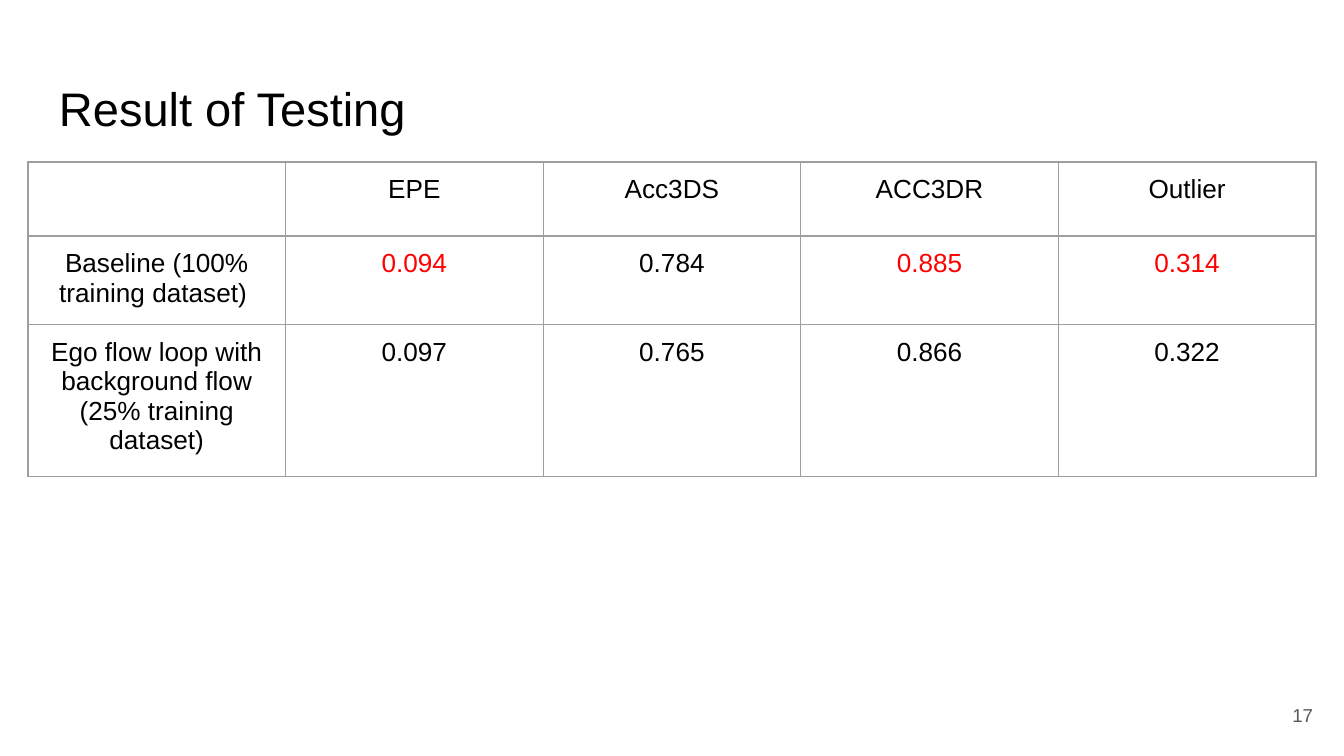
from lxml.etree import SubElement
from pptx import Presentation
from pptx.dml.color import RGBColor
from pptx.enum.text import MSO_ANCHOR, MSO_AUTO_SIZE, PP_ALIGN
from pptx.oxml.ns import qn
from pptx.util import Emu, Pt

PX_PER_INCH = 134.4
BLACK, RED, GREY, BORDER = "000000", "FF0000", "595959", "9E9E9E"


def px(length):
    return Emu(round(length * 914400 / PX_PER_INCH))


def color(value):
    return RGBColor.from_string(value)


class SlideBuilder:
    font = "Arial"
    inset = 13

    def __init__(self, page):
        self.page = page

    def set_text(self, frame, text, size, ink=BLACK, align=PP_ALIGN.LEFT):
        frame.word_wrap = True
        para = frame.paragraphs[0]
        para.text = text
        para.alignment = align
        para.font.name = self.font
        para.font.size = Pt(size)
        para.font.color.rgb = color(ink)

    def pad(self, target):
        target.margin_left = target.margin_right = px(self.inset)
        target.margin_top = target.margin_bottom = px(self.inset)

    def title(self, text, left, top, width, height):
        box = self.page.shapes.title
        box.left, box.top, box.width, box.height = map(px, (left, top, width, height))
        frame = box.text_frame
        self.pad(frame)
        frame.auto_size = MSO_AUTO_SIZE.NONE
        frame.vertical_anchor = MSO_ANCHOR.TOP
        self.set_text(frame, text, 25.2)

    def page_number(self, text, left, top, width, height):
        box = self.page.shapes.add_textbox(*map(px, (left, top, width, height)))
        frame = box.text_frame
        self.pad(frame)
        frame.vertical_anchor = MSO_ANCHOR.MIDDLE
        self.set_text(frame, text, 10, GREY, PP_ALIGN.RIGHT)

    def borders(self, cell):
        properties = cell._tc.get_or_add_tcPr()
        for side in ("lnL", "lnR", "lnT", "lnB"):
            line = SubElement(properties, qn(f"a:{side}"), w=str(Pt(0.75)))
            fill = SubElement(line, qn("a:solidFill"))
            SubElement(fill, qn("a:srgbClr"), val=BORDER)

    def table(self, rows, highlights, left, top, width, heights):
        frame = self.page.shapes.add_table(
            len(rows), len(rows[0]), *map(px, (left, top, width, sum(heights))))
        table = frame.table
        table.first_row = table.horz_banding = False
        for row, height in zip(table.rows, heights):
            row.height = px(height)
        for r, values in enumerate(rows):
            for c, value in enumerate(values):
                cell = table.cell(r, c)
                self.pad(cell)
                self.borders(cell)
                cell.fill.background()
                ink = RED if value in highlights else BLACK
                self.set_text(cell.text_frame, value, 14, ink, PP_ALIGN.CENTER)


def main():
    deck = Presentation()
    deck.slide_width, deck.slide_height = px(1344), px(756)
    builder = SlideBuilder(deck.slides.add_slide(deck.slide_layouts[5]))

    # Heading and page number
    builder.title("Result of Testing", 46, 66, 1253, 84)
    builder.page_number("17", 1246, 686, 80, 58)

    # Test results, with the best scores in red
    results = [
        ("", "EPE", "Acc3DS", "ACC3DR", "Outlier"),
        ("Baseline (100% training dataset) ", "0.094", "0.784", "0.885", "0.314"),
        ("Ego flow loop with background flow (25% training dataset)",
         "0.097", "0.765", "0.866", "0.322"),
    ]
    builder.table(results, {"0.094", "0.885", "0.314"}, 28, 162, 1288, (74, 86, 144))

    deck.save("out.pptx")


if __name__ == "__main__":
    main()
